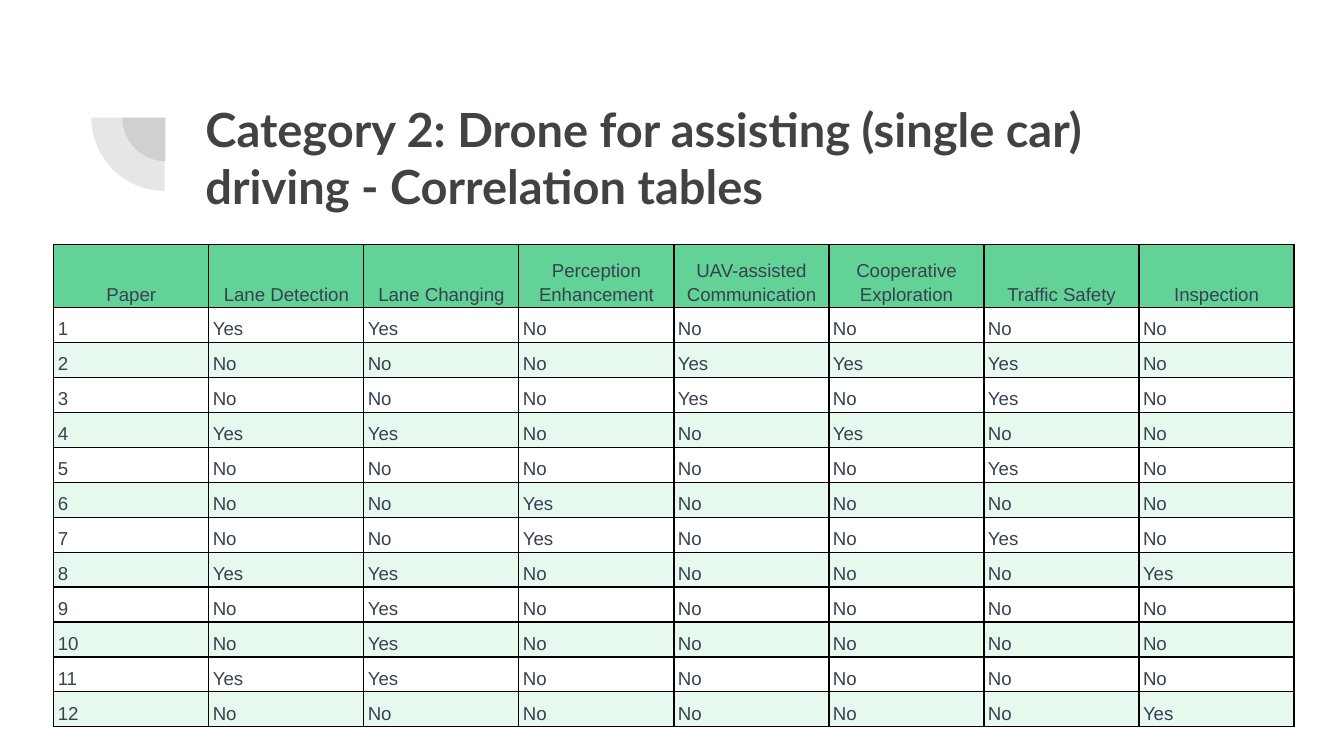
from lxml import etree
from pptx import Presentation
from pptx.dml.color import RGBColor
from pptx.enum.shapes import MSO_SHAPE
from pptx.enum.text import MSO_ANCHOR, PP_ALIGN
from pptx.oxml.ns import qn
from pptx.util import Inches, Pt

PIE = MSO_SHAPE.PIE
TOP, BOTTOM = MSO_ANCHOR.TOP, MSO_ANCHOR.BOTTOM
LEFT, CENTER = PP_ALIGN.LEFT, PP_ALIGN.CENTER

HEADERS = ["Paper", "Lane Detection", "Lane Changing", "Perception Enhancement",
           "UAV-assisted Communication", "Cooperative Exploration",
           "Traffic Safety", "Inspection"]
ANSWERS = ["YYNNNNN", "NNNYYYN", "NNNYNYN", "YYNNYNN", "NNNNNYN", "NNYNNNN",
           "NNYNNYN", "YYNNNNY", "NYNNNNN", "NYNNNNN", "YYNNNNN", "NNNNNNY"]
WORDS = {"Y": "Yes", "N": "No"}


def rgb(color):
    return RGBColor.from_string(color)


class SlideBuilder:
    title_font = "Lato"
    table_font = "Arial"
    dark = "424242"
    table_text = "374151"
    header_fill = "63D297"
    row_fills = ("FFFFFF", "E7F9EF")
    border = "000000"

    def __init__(self, prs):
        self.s = prs.slides.add_slide(prs.slide_layouts[6])

    def add_run(self, p, text, font, size, color, bold=False):
        r = p.add_run()
        r.text = text
        r.font.name = font
        r.font.size = Pt(size)
        r.font.bold = bold
        r.font.color.rgb = rgb(color)

    def quarter(self, x, y, size):
        sp = self.s.shapes.add_shape(PIE, Inches(x), Inches(y), Inches(size), Inches(size))
        sp.adjustments[0] = 108
        sp.adjustments[1] = 162
        sp.rotation = 270
        sp.shadow.inherit = False
        sp.line.fill.background()
        sp.fill.solid()
        sp.fill.fore_color.rgb = rgb(self.dark)
        color = sp.fill._xPr.find(qn("a:solidFill"))[0]
        etree.SubElement(color, qn("a:alpha"), val="13000")

    def title(self, text, x, y, w, h):
        sp = self.s.shapes.add_textbox(Inches(x), Inches(y), Inches(w), Inches(h))
        tf = sp.text_frame
        tf.word_wrap = True
        tf.vertical_anchor = TOP
        tf.margin_left = tf.margin_right = Inches(0.1)
        tf.margin_top = tf.margin_bottom = Inches(0.1)
        self.add_run(tf.paragraphs[0], text, self.title_font, 25.2, self.dark, True)

    def cell(self, cell, text, fill, align):
        cell.margin_left = cell.margin_right = Inches(0.03)
        cell.margin_top = cell.margin_bottom = Inches(0.02)
        cell.vertical_anchor = BOTTOM
        p = cell.text_frame.paragraphs[0]
        p.alignment = align
        p.line_spacing = 1.15
        self.add_run(p, text, self.table_font, 10, self.table_text)
        tcPr = cell._tc.get_or_add_tcPr()
        for side in ("lnL", "lnR", "lnT", "lnB"):
            ln = etree.SubElement(tcPr, qn(f"a:{side}"), w=str(Pt(0.75)))
            solid = etree.SubElement(ln, qn("a:solidFill"))
            etree.SubElement(solid, qn("a:srgbClr"), val=self.border)
        cell.fill.solid()
        cell.fill.fore_color.rgb = rgb(fill)

    def table(self, rows, x, y, w, header_h, row_h):
        n_rows, n_cols = len(rows), len(rows[0])
        height = header_h + row_h * (n_rows - 1)
        table = self.s.shapes.add_table(n_rows, n_cols, Inches(x), Inches(y),
                                        Inches(w), Inches(height)).table
        table.first_row = table.horz_banding = False
        for col in table.columns:
            col.width = Inches(w / n_cols)
        for i, values in enumerate(rows):
            table.rows[i].height = Inches(row_h if i else header_h)
            fill = self.row_fills[(i - 1) % 2] if i else self.header_fill
            for j, text in enumerate(values):
                self.cell(table.cell(i, j), text, fill, LEFT if i else CENTER)


def main():
    prs = Presentation()
    prs.slide_width = Inches(10)
    prs.slide_height = prs.slide_width * 9 // 16
    slide = SlideBuilder(prs)
    slide.quarter(0.91, 0.55, 0.65)
    slide.quarter(0.68, 0.33, 1.09)
    slide.title("Category 2: Drone for assisting (single car) driving - Correlation tables",
                1.43, 0.65, 7.69, 1.09)
    papers = [[str(n)] + [WORDS[a] for a in answers]
              for n, answers in enumerate(ANSWERS, 1)]
    slide.table([HEADERS] + papers, 0.4, 1.82, 9.23, 0.47, 0.26)
    prs.save("out.pptx")


if __name__ == "__main__":
    main()
